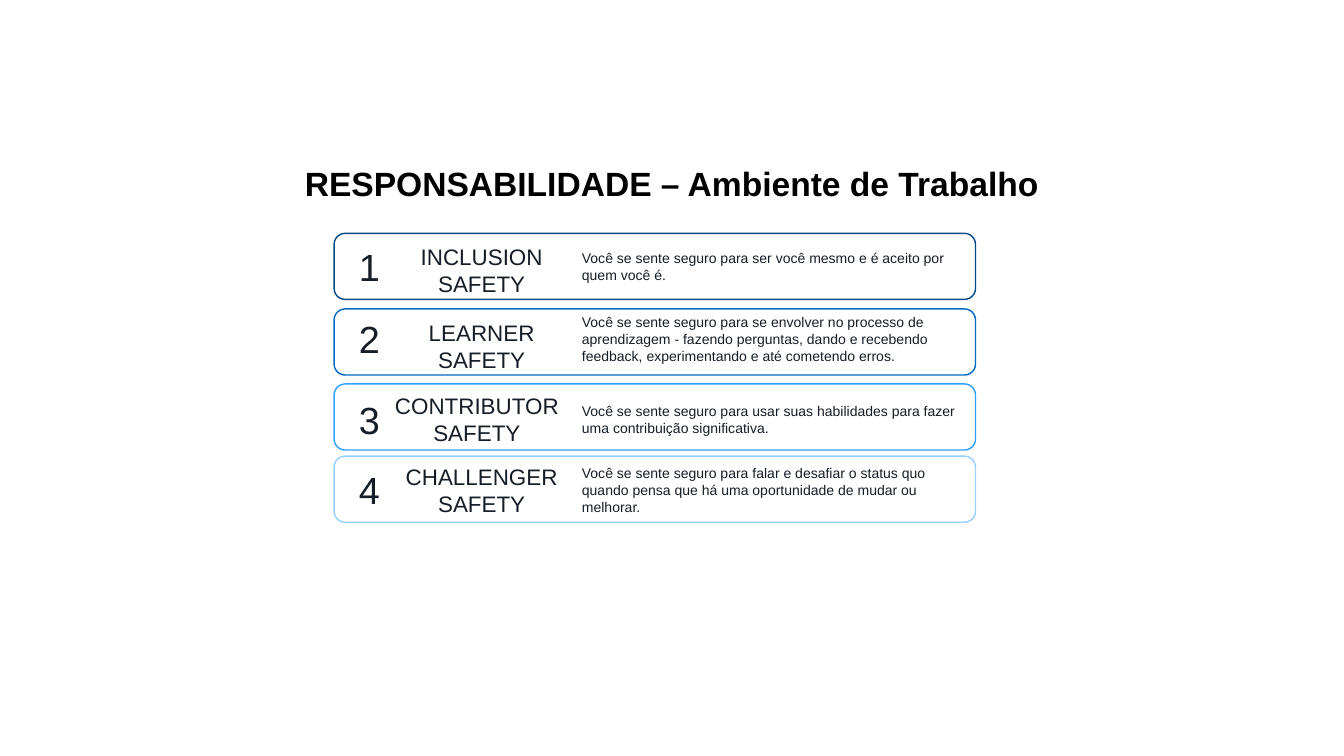
from dataclasses import dataclass

from pptx import Presentation
from pptx.dml.color import RGBColor
from pptx.enum import shapes, text
from pptx.util import Cm, Inches, Pt

BLACK = RGBColor(0x00, 0x00, 0x00)
INK = RGBColor(0x15, 0x1D, 0x26)
NAVY = RGBColor(0x00, 0x4A, 0x88)
BLUE = RGBColor(0x00, 0x6B, 0xC6)
AZURE = RGBColor(0x2F, 0xA0, 0xFF)
SKY = RGBColor(0x97, 0xCF, 0xFF)

STAGE_LEFT, STAGE_WIDTH, STAGE_HEIGHT = 16.84, 32.33, 3.33
NAME_CENTER = 7.44


@dataclass
class Stage:
    """One safety stage; the drops are distances in cm below the frame's top."""
    name: str
    description: str
    color: RGBColor
    top: float
    number_drop: float
    name_drop: float
    description_drop: float
    description_height: float
    name_width: float = 8.18
    name_center: float = NAME_CENTER


STAGES = [
    Stage("INCLUSION SAFETY",
          "Você se sente seguro para ser você mesmo e é aceito por quem você é.",
          NAVY, 11.76, 0.38, 0.38, 0.69, 1.96),
    Stage("LEARNER SAFETY",
          "Você se sente seguro para se envolver no processo de aprendizagem - "
          "fazendo perguntas, dando e recebendo feedback, experimentando e até "
          "cometendo erros.",
          BLUE, 15.57, 0.23, 0.38, 0.1, 2.82),
    Stage("CONTRIBUTOR SAFETY",
          "Você se sente seguro para usar suas habilidades para fazer uma "
          "contribuição significativa.",
          AZURE, 19.35, 0.51, 0.3, 0.81, 1.96, 9.12, 7.2),
    Stage("CHALLENGER SAFETY",
          "Você se sente seguro para falar e desafiar o status quo quando pensa "
          "que há uma oportunidade de mudar ou melhorar.",
          SKY, 22.99, 0.43, 0.23, 0.3, 2.82),
]


def write(shape, wording, size, color, align, bold=False):
    """Fill a shape with one wrapped Arial paragraph."""
    frame = shape.text_frame
    frame.text = wording
    frame.word_wrap = True
    frame.auto_size = text.MSO_AUTO_SIZE.SHAPE_TO_FIT_TEXT
    paragraph = frame.paragraphs[0]
    paragraph.alignment = align
    font = paragraph.runs[0].font
    font.name, font.size, font.bold = "Arial", Pt(size), bold
    font.color.rgb = color


def add_label(slide, left, top, width, height, wording, size, align):
    """Add a text box measured in cm."""
    label = slide.shapes.add_textbox(Cm(left), Cm(top), Cm(width), Cm(height))
    write(label, wording, size, INK, align)


def place_title(slide, left, top, width, height):
    """Move and format the title placeholder."""
    title = slide.shapes.title
    title.left, title.top = Cm(left), Cm(top)
    title.width, title.height = Cm(width), Cm(height)
    write(title, "RESPONSABILIDADE – Ambiente de Trabalho", 48, BLACK,
          text.PP_ALIGN.CENTER, bold=True)


def add_stage(slide, left, top, width, height, number, stage):
    """Draw a framed stage with its number, name and description."""
    frame = slide.shapes.add_shape(
        shapes.MSO_SHAPE.ROUNDED_RECTANGLE, Cm(left), Cm(top), Cm(width), Cm(height))
    frame.shadow.inherit = False
    frame.fill.background()
    frame.line.color.rgb = stage.color
    frame.line.width = Pt(2)

    center = text.PP_ALIGN.CENTER
    add_label(slide, left + 0.2, top + stage.number_drop, 3.15, 2.57,
              str(number), 54, center)
    add_label(slide, left + stage.name_center - stage.name_width / 2,
              top + stage.name_drop, stage.name_width, 3, stage.name, 32, center)
    add_label(slide, left + 12.24, top + stage.description_drop, 20.02,
              stage.description_height, stage.description, 20, text.PP_ALIGN.LEFT)


def main():
    """Build and save the slide."""
    deck = Presentation()
    deck.slide_width, deck.slide_height = Inches(26.67), Inches(15)
    slide = deck.slides.add_slide(deck.slide_layouts.get_by_name("Title Only"))
    place_title(slide, 0, 7.92, 67.74, 2.57)
    for number, stage in enumerate(STAGES, start=1):
        add_stage(slide, STAGE_LEFT, stage.top, STAGE_WIDTH, STAGE_HEIGHT, number, stage)
    deck.save("out.pptx")


if __name__ == "__main__":
    main()
